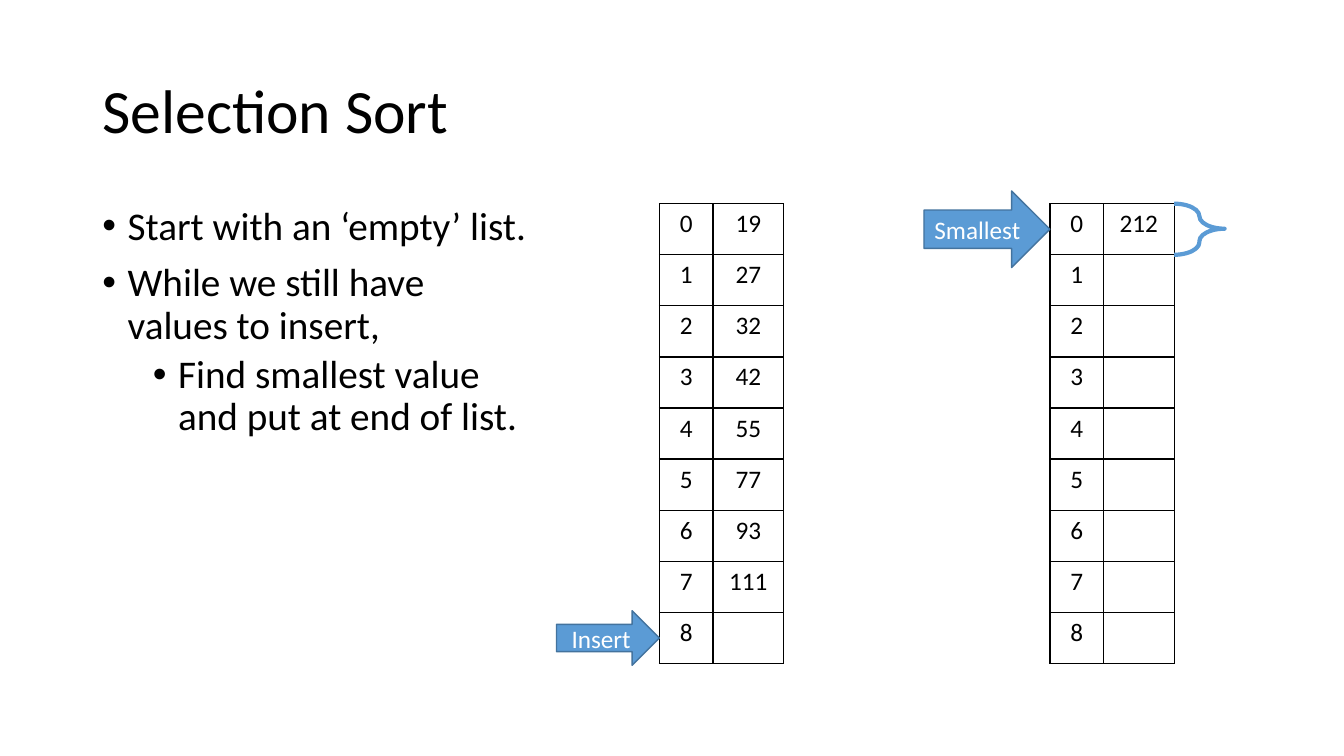
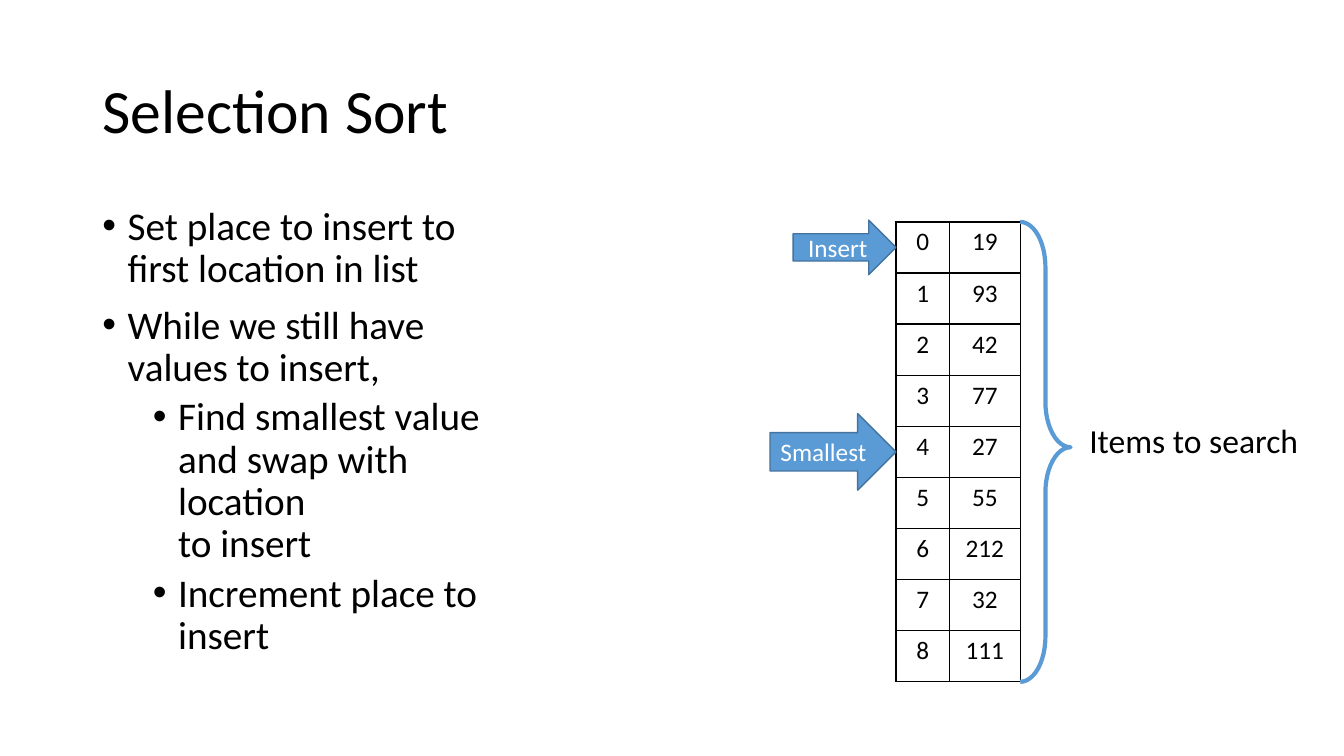
"""Build two slides that explain selection sort with lists, tables and pointers."""
from copy import deepcopy

from lxml.etree import SubElement
from pptx import Presentation
from pptx.dml.color import RGBColor
from pptx.enum.shapes import MSO_SHAPE
from pptx.enum.text import MSO_ANCHOR, MSO_AUTO_SIZE, PP_ALIGN
from pptx.oxml.ns import qn
from pptx.util import Pt

COLORS = {"text": "000000", "light": "FFFFFF", "accent": "5B9BD5", "edge": "43739E"}
FONT = "Calibri"
ROW_HEIGHT = 36.5
COLUMN_WIDTHS = (38.25, 50.5)
ARROW_SIZES = {"Insert": (73.5, 39), "Smallest": (90, 54.75)}
BULLET_LEVELS = (
    {"indent": 18, "space": 10},
    {"indent": 54, "space": 5},
)


def color(name):
    return RGBColor.from_string(COLORS[name])


def set_format(target, values):
    for name, value in values.items():
        setattr(target, name, value)


class Deck:
    def __init__(self):
        self.presentation = Presentation()
        set_format(self.presentation, {"slide_width": Pt(960), "slide_height": Pt(540)})
        self.slide = None

    def start_slide(self, title):
        self.slide = self.presentation.slides.add_slide(self.presentation.slide_layouts[1])
        shape = self.slide.shapes.title
        self.place(shape, 66, 28.8, 828, 104.4)
        set_format(shape.text_frame, {
            "word_wrap": True, "auto_size": MSO_AUTO_SIZE.NONE, "vertical_anchor": MSO_ANCHOR.MIDDLE})
        paragraph = shape.text_frame.paragraphs[0]
        self.fill_text(paragraph, title, 44, align=PP_ALIGN.LEFT)
        paragraph.line_spacing = 0.9

    def place(self, shape, left, top, width, height):
        set_format(shape, {
            "left": Pt(left), "top": Pt(top), "width": Pt(width), "height": Pt(height)})

    def fill_text(self, paragraph, text, size, ink="text", align=PP_ALIGN.CENTER):
        paragraph.text = text.replace("\n", "\v")
        paragraph.alignment = align
        for run in paragraph.runs:
            set_format(run.font, {"name": FONT, "size": Pt(size)})
            run.font.color.rgb = color(ink)
        for line_break in paragraph._p.findall(qn("a:br")):
            line_break.append(deepcopy(paragraph.runs[0].font._element))

    def bullets(self, items):
        shape = self.slide.placeholders[1]
        self.place(shape, 66, 144, 322.5, 342.75)
        frame = shape.text_frame
        set_format(frame, {"word_wrap": True, "auto_size": MSO_AUTO_SIZE.NONE})
        for index, (level, text) in enumerate(items):
            paragraph = frame.add_paragraph() if index else frame.paragraphs[0]
            style = BULLET_LEVELS[level]
            self.fill_text(paragraph, text, 28, align=PP_ALIGN.LEFT)
            set_format(paragraph, {
                "level": level, "line_spacing": 0.9,
                "space_before": Pt(style["space"] if index else 0), "space_after": Pt(0)})
            properties = paragraph._p.get_or_add_pPr()
            properties.set("marL", str(Pt(style["indent"])))
            properties.set("indent", str(Pt(-18)))
            SubElement(properties, qn("a:buFont"), typeface="Arial")
            SubElement(properties, qn("a:buChar"), char="•")

    def table(self, left, top, values):
        rows = len(values)
        frame = self.slide.shapes.add_table(
            rows, 2, Pt(left), Pt(top), Pt(sum(COLUMN_WIDTHS)), Pt(ROW_HEIGHT * rows))
        table = frame.table
        set_format(table, {"first_row": False, "horz_banding": False})
        for column, width in zip(table.columns, COLUMN_WIDTHS):
            column.width = Pt(width)
        for index, value in enumerate(values):
            table.rows[index].height = Pt(ROW_HEIGHT)
            for cell, text in zip(table.rows[index].cells, (str(index), str(value))):
                self.fill_text(cell.text_frame.paragraphs[0], text, 18)
                self.border(cell)
                cell.fill.background()

    def border(self, cell):
        properties = cell._tc.get_or_add_tcPr()
        for side in ("lnL", "lnR", "lnT", "lnB"):
            line = SubElement(properties, qn(f"a:{side}"), w=str(Pt(1)))
            fill = SubElement(line, qn("a:solidFill"))
            SubElement(fill, qn("a:srgbClr"), val=COLORS["text"])

    def pointer(self, label, left, top, row):
        width, height = ARROW_SIZES[label]
        middle = top + (row + 0.5) * ROW_HEIGHT
        shape = self.slide.shapes.add_shape(
            MSO_SHAPE.RIGHT_ARROW, Pt(left - width), Pt(middle - height / 2), Pt(width), Pt(height))
        shape.shadow.inherit = False
        shape.fill.solid()
        shape.fill.fore_color.rgb = color("accent")
        shape.line.color.rgb = color("edge")
        shape.line.width = Pt(1)
        shape.text_frame.vertical_anchor = MSO_ANCHOR.MIDDLE
        self.fill_text(shape.text_frame.paragraphs[0], label, 18, "light")

    def brace(self, left, top, rows):
        shape = self.slide.shapes.add_shape(
            MSO_SHAPE.RIGHT_BRACE, Pt(left + sum(COLUMN_WIDTHS)), Pt(top), Pt(36), Pt(ROW_HEIGHT * rows))
        shape.shadow.inherit = False
        shape.fill.background()
        shape.line.color.rgb = color("accent")
        shape.line.width = Pt(3)
        for index, value in enumerate((0.9, 0.49)):
            shape.adjustments[index] = value

    def label(self, text, left, top, width, height):
        shape = self.slide.shapes.add_textbox(Pt(left), Pt(top), Pt(width), Pt(height))
        set_format(shape.text_frame, {
            "word_wrap": False, "auto_size": MSO_AUTO_SIZE.SHAPE_TO_FIT_TEXT})
        self.fill_text(shape.text_frame.paragraphs[0], text, 24, align=PP_ALIGN.LEFT)


def main():
    deck = Deck()

    deck.start_slide("Selection Sort")
    deck.bullets([
        (0, "Start with an ‘empty’ list."),
        (0, "While we still have \nvalues to insert,"),
        (1, "Find smallest value \nand put at end of list."),
    ])
    sorted_left, source_left, top = 750, 471, 145.5
    deck.table(sorted_left, top, [212] + [""] * 8)
    deck.table(source_left, top, [19, 27, 32, 42, 55, 77, 93, 111, ""])
    deck.pointer("Insert", source_left, top, 8)
    deck.pointer("Smallest", sorted_left, top, 0)
    deck.brace(sorted_left, top, 1)

    deck.start_slide("Selection Sort")
    deck.bullets([
        (0, "Set place to insert to\nfirst location in list"),
        (0, "While we still have \nvalues to insert,"),
        (1, "Find smallest value \nand swap with location\nto insert"),
        (1, "Increment place to insert"),
    ])
    left, top = 640, 158.5
    values = [19, 93, 42, 77, 27, 55, 212, 32, 111]
    deck.table(left, top, values)
    deck.pointer("Insert", left, top, 0)
    deck.pointer("Smallest", left, top, 4)
    deck.brace(left, top, len(values))
    deck.label("Items to search", 771, 296.75, 165, 36)

    deck.presentation.save("out.pptx")


if __name__ == "__main__":
    main()
